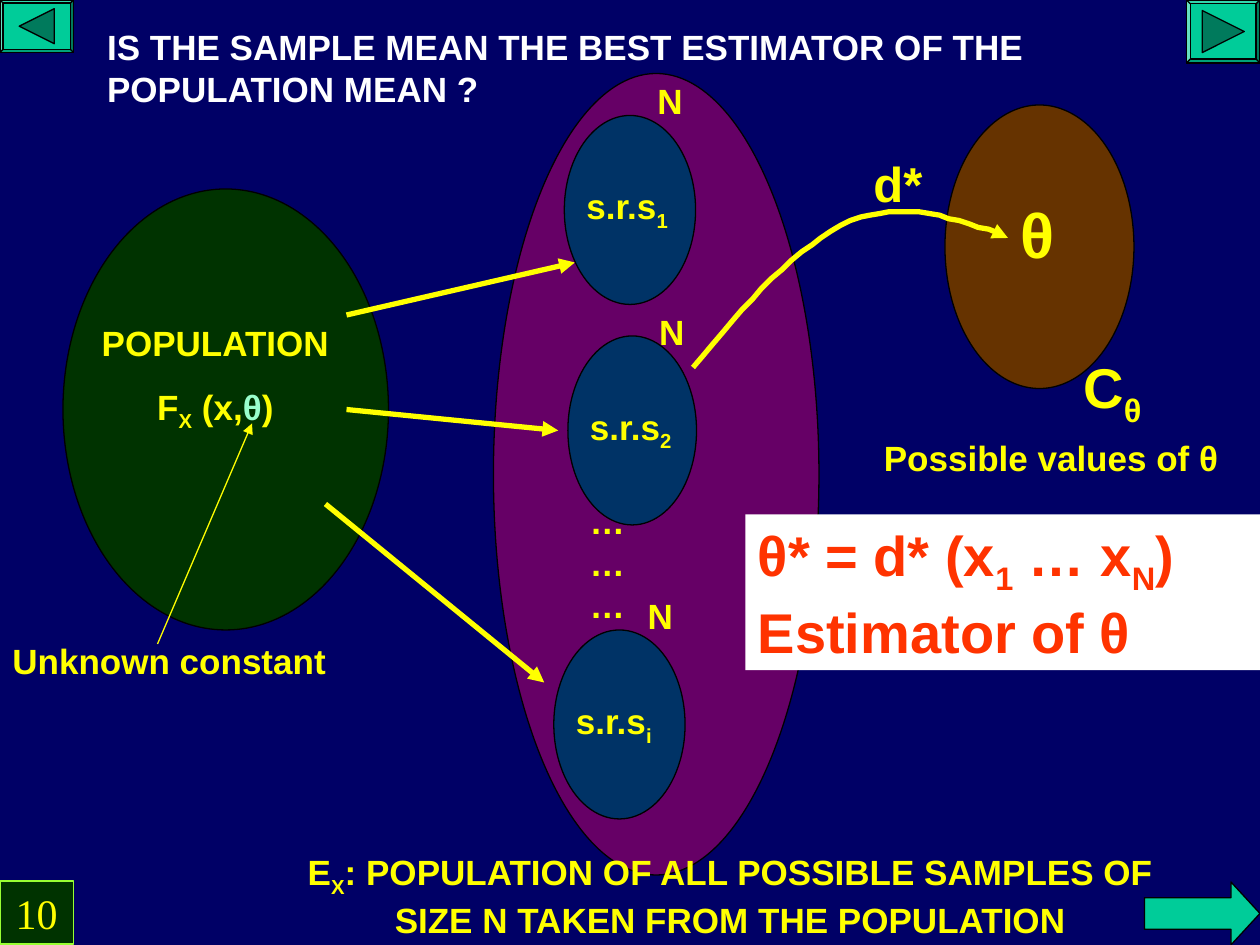
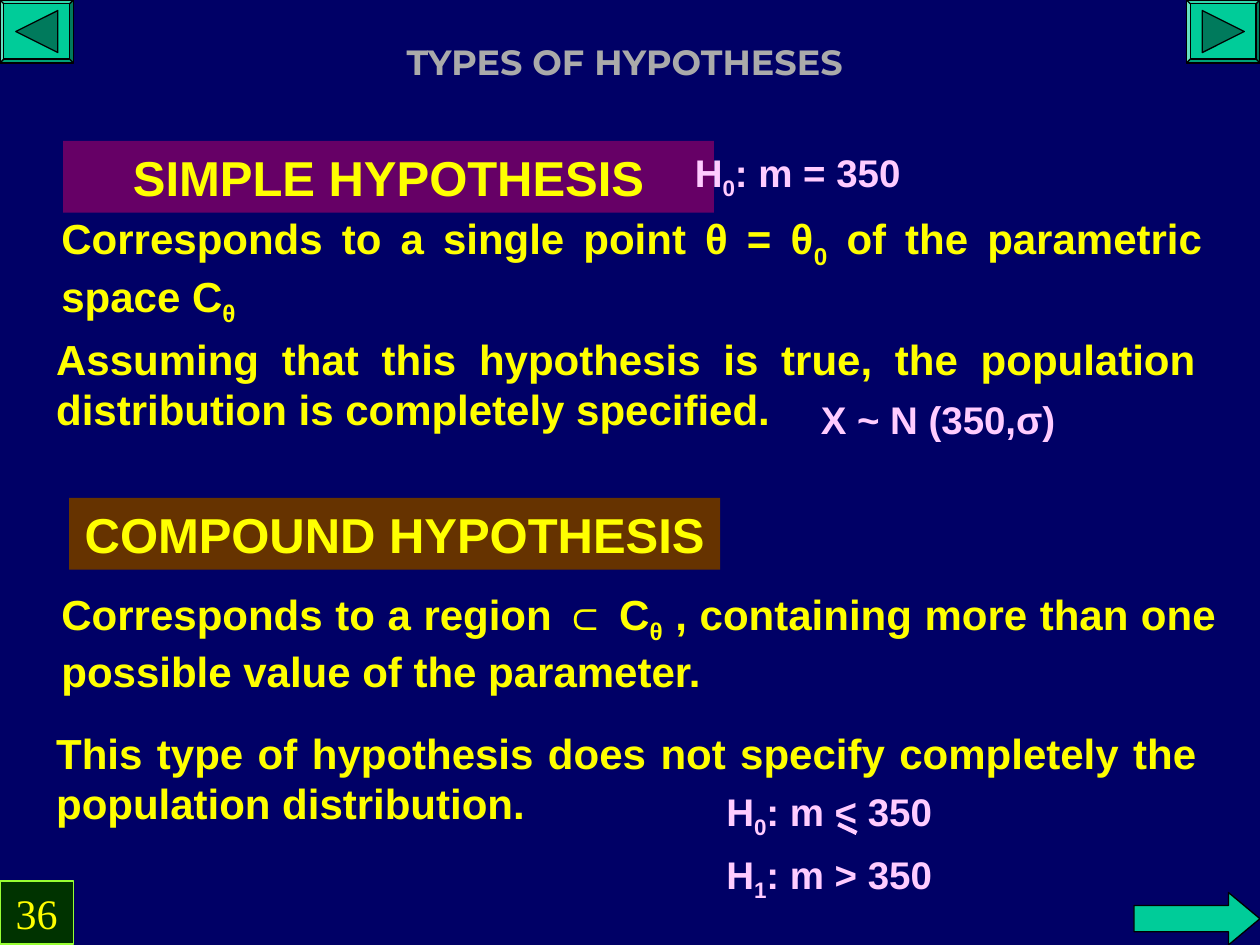
from dataclasses import dataclass

from lxml import etree
from pptx import Presentation
from pptx.dml.color import RGBColor
from pptx.enum.shapes import MSO_CONNECTOR, MSO_SHAPE
from pptx.enum.text import MSO_ANCHOR, MSO_AUTO_SIZE, PP_ALIGN
from pptx.oxml.ns import qn
from pptx.util import Pt

OVAL, RECTANGLE = MSO_SHAPE.OVAL, MSO_SHAPE.RECTANGLE
BEVEL, RIGHT_ARROW = MSO_SHAPE.BEVEL, MSO_SHAPE.RIGHT_ARROW
STRAIGHT = MSO_CONNECTOR.STRAIGHT
LEFT, CENTER, JUSTIFY = PP_ALIGN.LEFT, PP_ALIGN.CENTER, PP_ALIGN.JUSTIFY
TOP = MSO_ANCHOR.TOP
NO_AUTOFIT = MSO_AUTO_SIZE.NONE
TITLE_ONLY = 5
PAGE_WIDTH, PAGE_HEIGHT = 720, 540


@dataclass(frozen=True)
class Theme:
    navy: str = "000066"
    yellow: str = "FFFF00"
    white: str = "FFFFFF"
    silver: str = "AAAAAA"
    pink: str = "FFCCFF"
    mint: str = "99FFCC"
    red: str = "FF3300"
    black: str = "000000"
    lime: str = "99FF33"
    forest: str = "003300"
    purple: str = "660066"
    brown: str = "663300"
    blue: str = "003366"
    button: str = "00CC99"
    button_mark: str = "007A5C"
    font: str = "Arial"
    title_font: str = "Montserrat"
    number_font: str = "Times New Roman"
    label: int = 20
    formula: int = 22
    body: int = 24
    heading: int = 28
    large: int = 32
    symbol: int = 36
    hairline: float = 0.75
    arrow: float = 3


def points(values):
    return [Pt(value) for value in values]


def color(value):
    return RGBColor.from_string(value)


class Page:
    """Holds the theme and draws on the current slide."""

    def __init__(self, deck, theme):
        self.deck, self.theme = deck, theme
        self.slide = None

    def start(self, number, back_height, next_arrow, arrow_head):
        """Add a slide with its navigation buttons and page number."""
        theme = self.theme
        self.slide = self.deck.slides.add_slide(self.deck.slide_layouts[TITLE_ONLY])
        self.button((678, 0, 42, 36), 1)
        self.button((0, 0, 42, back_height), -1)
        arrow = self.shape(RIGHT_ARROW, next_arrow, theme.button, theme.black)
        arrow.adjustments[1] = arrow_head
        counter = self.shape(RECTANGLE, (0, 503.5, 42, 36), theme.forest, theme.lime)
        self.set_text(counter, number, size=theme.body, font=theme.number_font,
                      bold=False, align=CENTER)

    def set_text(self, shape, *lines, size=None, ink=None, font=None, bold=True,
                 align=LEFT, gap=0):
        """Fill a shape with paragraphs; |x| is a subscript and ^x^ an accent."""
        theme, frame = self.theme, shape.text_frame
        frame.word_wrap = True
        frame.auto_size = NO_AUTOFIT
        frame.vertical_anchor = TOP
        for index, line in enumerate(lines):
            para = frame.add_paragraph() if index else frame.paragraphs[0]
            para.alignment = align
            para.space_before = Pt(gap if index else 0)
            for lowered, part in enumerate(line.split("|")):
                for accented, piece in enumerate(part.split("^")):
                    if not piece:
                        continue
                    span = para.add_run()
                    span.text = piece
                    span.font.name = font or theme.font
                    span.font.size = Pt(size or theme.label)
                    span.font.bold = bold
                    span.font.color.rgb = color(
                        theme.mint if accented % 2 else ink or theme.yellow)
                    if lowered % 2:
                        span.font._element.set("baseline", "-25000")

    def title(self, text, box, **style):
        holder = self.slide.shapes.title
        holder.left, holder.top, holder.width, holder.height = points(box)
        self.set_text(holder, text, **style)

    def text(self, box, *lines, **style):
        self.set_text(self.slide.shapes.add_textbox(*points(box)), *lines, **style)

    def paint(self, shape, fill, line):
        shape.shadow.inherit = False
        shape.fill.solid()
        shape.fill.fore_color.rgb = color(fill)
        if line:
            shape.line.color.rgb = color(line)
            shape.line.width = Pt(self.theme.hairline)
        else:
            shape.line.fill.background()

    def shape(self, kind, box, fill, line=None):
        shape = self.slide.shapes.add_shape(kind, *points(box))
        self.paint(shape, fill, line)
        return shape

    def oval(self, box, fill):
        return self.shape(OVAL, box, fill, self.theme.black)

    def banner(self, box, text, fill):
        self.set_text(self.shape(RECTANGLE, box, fill), text,
                      size=self.theme.heading, align=CENTER)

    def outline(self, corners, close):
        builder = self.slide.shapes.build_freeform(*corners[0], scale=Pt(1))
        builder.add_line_segments(corners[1:], close=close)
        return builder.convert_to_shape()

    def button(self, box, direction):
        """Draw a bevelled button with a triangle pointing left (-1) or right (1)."""
        theme = self.theme
        left, top, width, height = box
        self.shape(BEVEL, box, theme.button, theme.black).adjustments[0] = 0.06
        middle_x, middle_y, reach = left + width / 2, top + height / 2, height * 0.32
        base = middle_x - direction * reach
        triangle = self.outline([(base, middle_y - reach),
                                 (middle_x + direction * reach, middle_y),
                                 (base, middle_y + reach)], close=True)
        self.paint(triangle, theme.button_mark, theme.black)

    def stroke(self, shape, ink, width, head):
        shape.line.color.rgb = color(ink)
        shape.line.width = Pt(width)
        if head:
            line = shape._element.spPr.find(qn("a:ln"))
            etree.SubElement(line, qn("a:tailEnd"), type="triangle")

    def line(self, start, end, ink=None, width=None, head=True):
        line = self.slide.shapes.add_connector(STRAIGHT, *points(start + end))
        self.stroke(line, ink or self.theme.yellow, width or self.theme.arrow, head)
        etree.SubElement(line._element.spPr, qn("a:effectLst"))

    def curve(self, *pieces, steps=16):
        """Draw an arrow along joined cubic curves of four points each."""
        corners = [pieces[0][0]]
        for a, b, c, d in pieces:
            for step in range(1, steps + 1):
                t = step / steps
                weights = ((1 - t) ** 3, 3 * t * (1 - t) ** 2, 3 * t * t * (1 - t), t ** 3)
                corners.append(tuple(sum(w * p[axis] for w, p in zip(weights, (a, b, c, d)))
                                     for axis in (0, 1)))
        curve = self.outline(corners, close=False)
        curve.fill.background()
        curve.shadow.inherit = False
        self.stroke(curve, self.theme.yellow, self.theme.arrow, True)

    def sample(self, index, oval, size_label, arrow):
        left, top, width, _ = oval
        self.line(*arrow)
        self.oval(oval, self.theme.blue)
        self.text((left + 5.5, top + 36, width - 5.5, 34.5), f"s.r.s|{index}|")
        self.text((*size_label, 40, 31.5), "N")


def estimator_slide(page):
    theme = page.theme
    page.start("10", 30, (654, 504, 66, 36), 0.46)
    page.title("IS THE SAMPLE MEAN THE BEST ESTIMATOR OF THE POPULATION MEAN ?",
               (54, 11, 600, 55.5), ink=theme.white)

    page.oval((36, 108, 186, 252), theme.forest)
    page.text((47.5, 180, 151, 71), "POPULATION", "F|X| (x,^θ^)",
              align=CENTER, gap=12.5)
    page.text((0, 362, 336, 31.5), "Unknown constant")
    page.line((90, 368), (144, 242), width=theme.hairline)

    page.oval((282, 42, 186, 458), theme.purple)
    page.text((168.5, 482.5, 497.5, 59),
              "E|X|: POPULATION OF ALL POSSIBLE SAMPLES OF SIZE N TAKEN FROM THE POPULATION",
              align=CENTER)
    page.text((330, 282, 40.5, 79), "………")
    samples = (
        ("1", (322.5, 66, 75, 108), (368.5, 42), ((198, 180), (328.5, 150))),
        ("2", (324.5, 192, 73.5, 108), (369.5, 174), ((198, 234), (319, 246))),
        ("i", (316.5, 360, 75, 108), (363, 336), ((186, 288), (311, 390))),
    )
    for sample in samples:
        page.sample(*sample)

    page.oval((540, 60, 108, 162), theme.brown)
    page.text((576, 108, 72, 50.5), "θ", size=theme.symbol)
    page.text((612, 198, 60, 51), "C|θ|", size=theme.large)
    page.curve(((396, 210), (426, 174), (456, 139), (486, 126.5)),
               ((486, 126.5), (516, 114), (546, 124.5), (576, 135.5)))
    page.text((492, 84, 54, 41), "d*", size=theme.heading)
    formula = page.shape(RECTANGLE, (426, 294, 294, 89), theme.white)
    page.set_text(formula, "θ* = d* (x|1| … x|N|)", "Estimator of θ",
                  size=theme.large, ink=theme.red)
    page.text((498, 246, 222, 31.5), "Possible values of θ")


def hypotheses_slide(page):
    theme = page.theme
    page.start("36", 36, (648, 510, 72, 30), 0.6)
    page.title("TYPES OF HYPOTHESES", (78, 19.5, 558, 51),
               font=theme.title_font, ink=theme.silver, align=CENTER)
    page.banner((36, 80.5, 372, 41), "SIMPLE HYPOTHESIS", theme.purple)
    page.banner((39.5, 284.5, 372, 41), "COMPOUND HYPOTHESIS", theme.brown)

    statements = (
        ((28, 118, 666, 72.5),
         "Corresponds to a single point θ = θ|0| of the parametric space C|θ|"),
        ((25, 187, 665.5, 65),
         "Assuming that this hypothesis is true, the population distribution "
         "is completely specified."),
        ((28, 332.5, 674, 69),
         "Corresponds to a region ⊂ C|θ| , containing more than one possible "
         "value of the parameter."),
        ((25, 412, 666, 65),
         "This type of hypothesis does not specify completely the population "
         "distribution."),
    )
    for box, statement in statements:
        page.text(box, statement, size=theme.body, align=JUSTIFY)

    formulas = (
        (390, 81.5, "H|0|: m = 350"),
        (462, 223, "X ~ N (350,σ)"),
        (408, 482.5, "H|1|: m > 350"),
        (408, 446.5, "H|0|: m < 350"),
    )
    for left, top, formula in formulas:
        page.text((left, top, 186, 37.5), formula, size=theme.formula, ink=theme.pink)
    page.line((479, 471), (489.5, 476), ink=theme.pink, width=2.5, head=False)


def main():
    deck = Presentation()
    deck.slide_width, deck.slide_height = Pt(PAGE_WIDTH), Pt(PAGE_HEIGHT)
    theme = Theme()
    backdrop = deck.slide_master.background.fill
    backdrop.solid()
    backdrop.fore_color.rgb = color(theme.navy)
    page = Page(deck, theme)
    estimator_slide(page)
    hypotheses_slide(page)
    deck.save("out.pptx")


if __name__ == "__main__":
    main()
